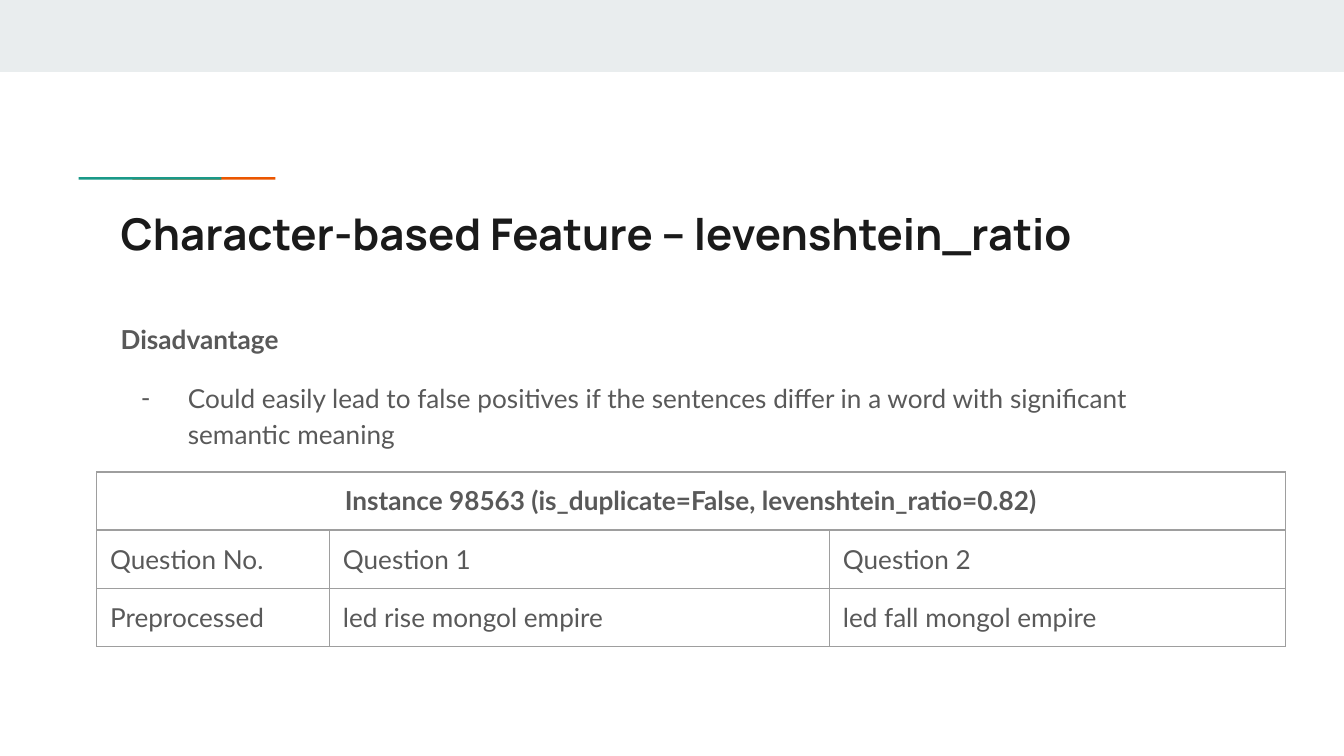
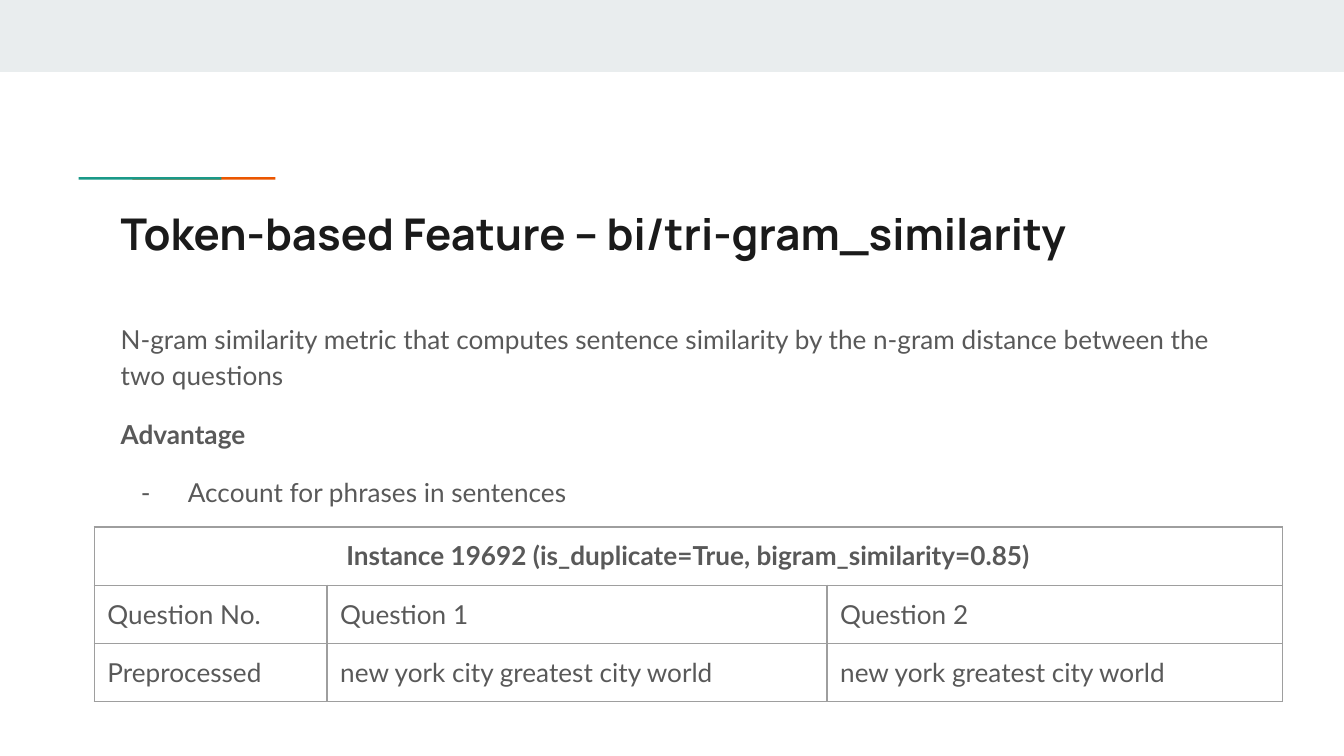
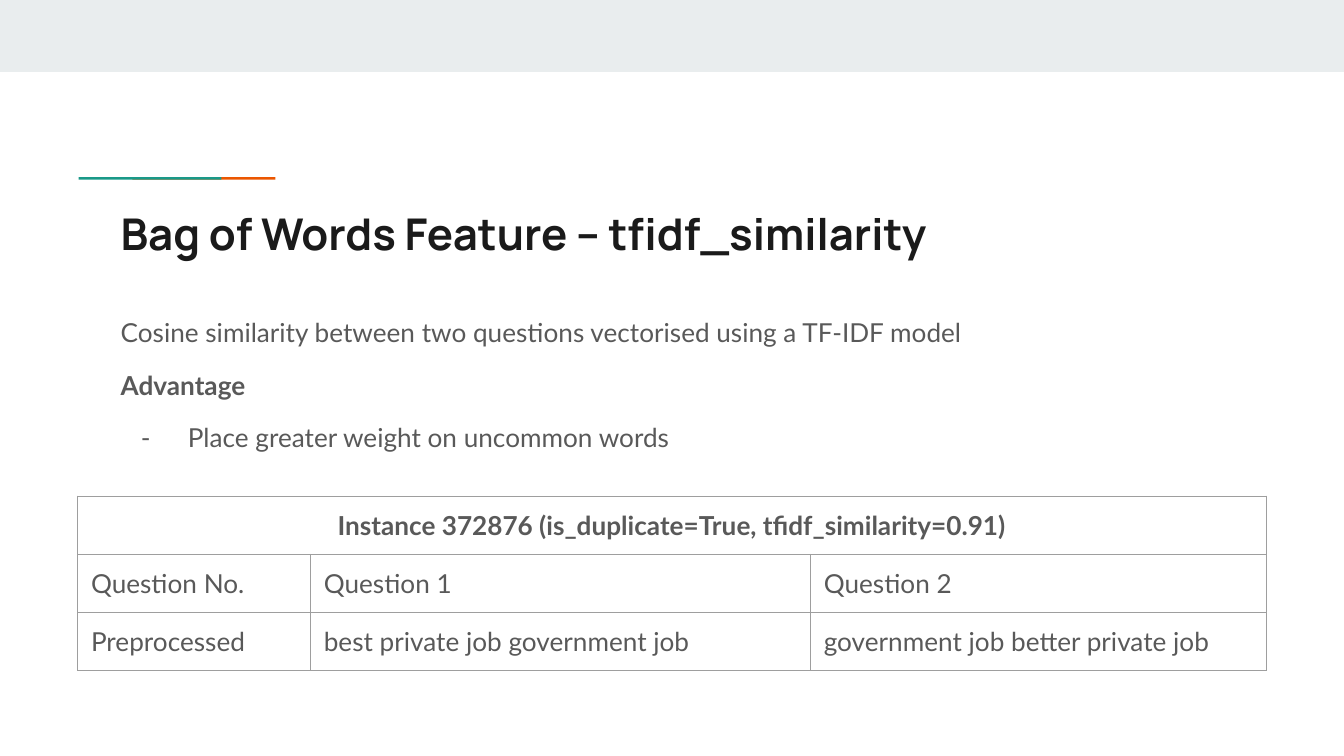
from dataclasses import dataclass

from lxml.etree import SubElement
from pptx import Presentation
from pptx.dml.color import RGBColor
from pptx.enum.shapes import MSO_SHAPE
from pptx.enum.text import MSO_ANCHOR, MSO_AUTO_SIZE, PP_ALIGN
from pptx.oxml.ns import qn
from pptx.util import Cm, Pt


@dataclass(frozen=True)
class Theme:
    band: str = "E9EDEE"
    teal: str = "1A9988"
    flame: str = "EB5600"
    ink: str = "1A1A1A"
    text: str = "595959"
    rule: str = "9E9E9E"
    head: str = "Manrope"
    body: str = "Lato"
    title_size: float = 23.4
    body_size: float = 14
    gap: float = 12
    border: float = 0.75
    inset: float = 0.25


THEME = Theme()

# Boxes in cm: left, top, width, height
PAGE = (25.4, 14.29)
BAND = (0, 0, 25.4, 1.36)
ACCENT = (2.77, 2.85, 1.15, 1.04)
TITLE = (2.03, 3.66, 21.36, 1.5)
BODY_LEFT, BODY_TOP, BODY_WIDTH = 2.03, 5.78, 21.36
COLS = (4.4, 9.45, 8.61)
ROW = 1.1

# Paragraph styles in the body
PLAIN, BOLD, DASH = "plain", "bold", "dash"

SLIDES = [
    {
        "title": "Character-based Feature – levenshtein_ratio",
        "body": [
            (BOLD, "Disadvantage"),
            (DASH, "Could easily lead to false positives if the sentences "
                   "differ in a word with significant semantic meaning"),
        ],
        "height": 6.27, "spacing": 1.15, "table": (1.83, 8.92),
        "case": "Instance 98563 (is_duplicate=False, levenshtein_ratio=0.82)",
        "pair": ("led rise mongol empire", "led fall mongol empire"),
    },
    {
        "title": "Token-based Feature – bi/tri-gram_similarity",
        "body": [
            (PLAIN, "N-gram similarity metric that computes sentence similarity "
                    "by the n-gram distance between the two questions"),
            (BOLD, "Advantage"),
            (DASH, "Account for phrases in sentences"),
        ],
        "height": 4.19, "spacing": 1.15, "table": (1.78, 9.96),
        "case": "Instance 19692 (is_duplicate=True, bigram_similarity=0.85)",
        "pair": ("new york city greatest city world",
                 "new york greatest city world"),
    },
    {
        "title": "Bag of Words Feature – tfidf_similarity",
        "body": [
            (PLAIN, "Cosine similarity between two questions vectorised "
                    "using a TF-IDF model"),
            (BOLD, "Advantage"),
            (DASH, "Place greater weight on uncommon words"),
        ],
        "height": 3.61, "spacing": 0.95, "table": (1.47, 9.38),
        "case": "Instance 372876 (is_duplicate=True, tfidf_similarity=0.91)",
        "pair": ("best private job government job",
                 "government job better private job"),
    },
]


def style(para, face, size, color, bold=False):
    for run in para.runs:
        font = run.font
        font.name, font.size, font.bold = face, Pt(size), bold
        font.color.rgb = RGBColor.from_string(color)


def place(shape, box):
    shape.left, shape.top, shape.width, shape.height = map(Cm, box)


def set_frame(frame, anchor):
    frame.word_wrap = True
    frame.auto_size = MSO_AUTO_SIZE.NONE
    frame.vertical_anchor = anchor
    frame.margin_left = frame.margin_right = Cm(THEME.inset)
    frame.margin_top = frame.margin_bottom = Cm(THEME.inset)


def add_bar(shapes, box, color):
    bar = shapes.add_shape(MSO_SHAPE.RECTANGLE, *map(Cm, box))
    bar.shadow.inherit = False
    bar.fill.solid()
    bar.fill.fore_color.rgb = RGBColor.from_string(color)
    bar.line.fill.background()
    return bar


def add_accent(slide, box):
    """Group two overlapping turned bars, flattened to the box's height."""
    left, top, width, height = box
    thick, length = 0.13, 2.7
    group = slide.shapes.add_group_shape()
    for shift, color in ((width - thick, THEME.flame), (0, THEME.teal)):
        bar = add_bar(group.shapes, (left + shift, top, thick, length), color)
        bar.rotation = 270
    place(group, box)
    return group


def dress_layout(slide):
    """Draw the band and accent, then move them to the shared layout."""
    parts = [add_bar(slide.shapes, BAND, THEME.band),
             add_accent(slide, ACCENT)]
    tree = slide.slide_layout.shapes.element
    for spot, part in enumerate(parts, start=2):
        tree.insert(spot, part.element)


def add_title(slide, text, box):
    title = slide.shapes.title
    place(title, box)
    set_frame(title.text_frame, MSO_ANCHOR.MIDDLE)
    title.text_frame.text = text
    para = title.text_frame.paragraphs[0]
    para.alignment = PP_ALIGN.LEFT
    style(para, THEME.head, THEME.title_size, THEME.ink, True)


def set_bullet(para, dash):
    props = para._p.get_or_add_pPr()
    props.set("marL", str(Cm(1.27) if dash else 0))
    props.set("indent", str(Cm(-0.89) if dash else 0))
    if dash:
        color = SubElement(props, qn("a:buClr"))
        SubElement(color, qn("a:srgbClr"), val=THEME.text)
        SubElement(props, qn("a:buFont"), typeface=THEME.body)
        SubElement(props, qn("a:buChar"), char="-")
    else:
        SubElement(props, qn("a:buNone"))


def add_body(slide, items, box, spacing):
    body = slide.placeholders[1]
    place(body, box)
    frame = body.text_frame
    set_frame(frame, MSO_ANCHOR.TOP)
    frame.text = "\n".join(text for _, text in items)
    for spot, (para, (kind, _)) in enumerate(zip(frame.paragraphs, items)):
        para.line_spacing = spacing
        para.space_before = Pt(THEME.gap if spot else 0)
        set_bullet(para, kind == DASH)
        style(para, THEME.body, THEME.body_size, THEME.text, kind == BOLD)


def set_cell(cell, text, head):
    cell.margin_left = cell.margin_right = Cm(THEME.inset)
    cell.margin_top = cell.margin_bottom = Cm(THEME.inset)
    # Borders come before the fill in the cell's properties
    props = cell._tc.get_or_add_tcPr()
    for side in "LRTB":
        line = SubElement(props, qn(f"a:ln{side}"), w=str(Pt(THEME.border)))
        fill = SubElement(line, qn("a:solidFill"))
        SubElement(fill, qn("a:srgbClr"), val=THEME.rule)
    cell.fill.background()
    cell.text_frame.text = text
    para = cell.text_frame.paragraphs[0]
    para.alignment = PP_ALIGN.CENTER if head else PP_ALIGN.LEFT
    style(para, THEME.body, THEME.body_size, THEME.text, head)


def add_case(slide, case, pair, spot):
    """Place the example table with its top left corner at the spot."""
    rows = [
        (case, "", ""),
        ("Question No.", "Question 1", "Question 2"),
        ("Preprocessed", *pair),
    ]
    size = (sum(COLS), ROW * len(rows))
    table = slide.shapes.add_table(
        len(rows), len(COLS), *map(Cm, (*spot, *size))).table
    table.first_row = table.horz_banding = False
    for col, width in zip(table.columns, COLS):
        col.width = Cm(width)
    for r, row in enumerate(rows):
        table.rows[r].height = Cm(ROW)
        for c, text in enumerate(row):
            set_cell(table.cell(r, c), text, r == 0)
    table.cell(0, 0).merge(table.cell(0, len(COLS) - 1))


def add_feature(deck, data):
    slide = deck.slides.add_slide(deck.slide_layouts[1])
    add_title(slide, data["title"], TITLE)
    box = (BODY_LEFT, BODY_TOP, BODY_WIDTH, data["height"])
    add_body(slide, data["body"], box, data["spacing"])
    add_case(slide, data["case"], data["pair"], data["table"])
    return slide


def main():
    deck = Presentation()
    deck.slide_width, deck.slide_height = map(Cm, PAGE)
    slides = [add_feature(deck, data) for data in SLIDES]
    dress_layout(slides[0])
    deck.save("out.pptx")


if __name__ == "__main__":
    main()
